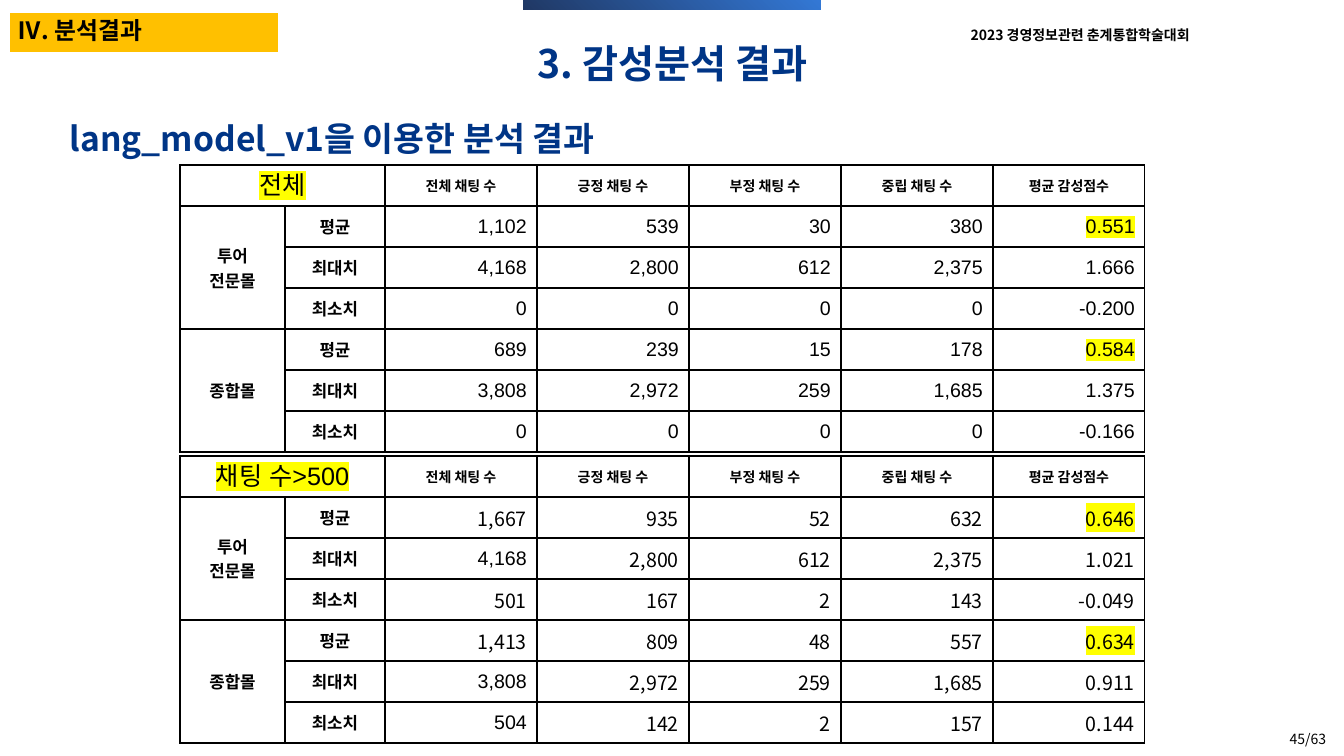
from lxml import etree
from pptx import Presentation, util as u
from pptx.dml.color import RGBColor
from pptx.enum import shapes, text
from pptx.oxml import ns

PX = 914400 / 100.8
COLORS = {"ink": "000000", "navy": "003586", "amber": "FFC000", "marker": "FFFF00",
          "bar_light": "3378D5", "bar_dark": "203864"}
KOREAN, LATIN = "Noto Sans CJK KR", "Arial"
ALIGN, ANCHOR = text.PP_ALIGN, text.MSO_ANCHOR

COLUMN_WIDTHS = [105, 100] + [152] * 5
ROW_HEIGHT = 41
HEADINGS = ["전체 채팅 수", "긍정 채팅 수", "부정 채팅 수", "중립 채팅 수", "평균 감성점수"]
MALLS = ["투어\n전문몰", "종합몰"]
MEASURES = ["평균", "최대치", "최소치"]
ALL_CHATS = [
    ["1,102", "539", "30", "380", "0.551"],
    ["4,168", "2,800", "612", "2,375", "1.666"],
    ["0", "0", "0", "0", "-0.200"],
    ["689", "239", "15", "178", "0.584"],
    ["3,808", "2,972", "259", "1,685", "1.375"],
    ["0", "0", "0", "0", "-0.166"],
]
BUSY_CHATS = [
    ["1,667", "935", "52", "632", "0.646"],
    ["4,168", "2,800", "612", "2,375", "1.021"],
    ["501", "167", "2", "143", "-0.049"],
    ["1,413", "809", "48", "557", "0.634"],
    ["3,808", "2,972", "259", "1,685", "0.911"],
    ["504", "142", "2", "157", "0.144"],
]
BUSY_LATIN_TOTALS = {"4,168", "3,808", "504"}


def px(*lengths):
    return [u.Emu(round(length * PX)) for length in lengths]


def rgb(name):
    return RGBColor.from_string(COLORS[name])


def write(frame, words, size, bold=False, color="ink", align=ALIGN.LEFT,
          font=KOREAN, asian=KOREAN, marked=False):
    """Fill a text frame, one paragraph per line of words."""
    for index, line in enumerate(words.split("\n")):
        para = frame.add_paragraph() if index else frame.paragraphs[0]
        para.alignment = align
        span = para.add_run()
        span.text = line
        for name, value in {"size": u.Pt(size), "bold": bold, "name": font}.items():
            setattr(span.font, name, value)
        span.font.color.rgb = rgb(color)
        props = span.font._element
        latin = props.find(ns.qn("a:latin"))
        east = etree.Element(ns.qn("a:ea"), typeface=asian)
        latin.addnext(east)
        if marked:
            highlight = etree.Element(ns.qn("a:highlight"))
            etree.SubElement(highlight, ns.qn("a:srgbClr"), val=COLORS["marker"])
            latin.addprevious(highlight)


def add_label(page, box, words, size, anchor=ANCHOR.TOP, grow=True, **style):
    frame = page.shapes.add_textbox(*px(*box)).text_frame
    fit = text.MSO_AUTO_SIZE
    settings = {"word_wrap": True, "vertical_anchor": anchor,
                "auto_size": fit.SHAPE_TO_FIT_TEXT if grow else fit.NONE}
    for name, value in settings.items():
        setattr(frame, name, value)
    write(frame, words, size, **style)


def add_block(page, box):
    block = page.shapes.add_shape(shapes.MSO_SHAPE.RECTANGLE, *px(*box))
    block.shadow.inherit = False
    block.line.fill.background()
    return block


def add_header(page, box):
    """Section tag, top bar, conference name and slide title."""
    left, top, width, height = box
    tag = add_block(page, (left + 10, top + 13, 268, 39))
    tag.fill.solid()
    tag.fill.fore_color.rgb = rgb("amber")

    # Thin bar, turned to lie along the top edge
    thickness, length = 10, 298
    bar = add_block(page, (left + (width - thickness) // 2, top + (thickness - length) // 2,
                           thickness, length))
    bar.rotation = 90
    bar.fill.gradient()
    bar.fill.gradient_angle = 315
    for stop, name, position in zip(bar.fill.gradient_stops, ["bar_light", "bar_dark"], [0, 1]):
        stop.color.rgb = rgb(name)
        stop.position = position

    add_label(page, (left + 946, top + 22, 268, 27), "2023 경영정보관련 춘계통합학술대회", 10,
              bold=True, align=ALIGN.CENTER)
    add_label(page, (left + 8, top + 11, 198, 39), "Ⅳ. 분석결과", 17, bold=True)
    add_label(page, (left + 364, top + 34, 617, 57), "3. 감성분석 결과", 28,
              bold=True, color="navy", align=ALIGN.CENTER)


def outline(cell):
    """Clear the cell's fill and rule all four sides."""
    cell.fill.background()
    props = cell._tc.get_or_add_tcPr()
    for index, side in enumerate(["lnL", "lnR", "lnT", "lnB"]):
        line = etree.Element(ns.qn("a:" + side), w=str(u.Pt(1)))
        fill = etree.SubElement(line, ns.qn("a:solidFill"))
        etree.SubElement(fill, ns.qn("a:srgbClr"), val=COLORS["ink"])
        props.insert(index, line)


def add_score_table(page, box, title, scores, number_font, latin_totals=()):
    left, top, width, height = box
    row_count = len(scores) + 1
    table = page.shapes.add_table(row_count, len(COLUMN_WIDTHS),
                                  *px(left, top, width, height)).table
    table.first_row = table.horz_banding = False
    for column, length in zip(table.columns, COLUMN_WIDTHS):
        column.width = px(length)[0]
    for row in table.rows:
        row.height = px(height // row_count)[0]
    for cell in table.iter_cells():
        outline(cell)
        cell.vertical_anchor = ANCHOR.MIDDLE

    def put(row, column, words, size, **style):
        write(table.cell(row, column).text_frame, words, size,
              **{"font": LATIN, "align": ALIGN.CENTER, **style})

    # Title and column headings
    table.cell(0, 0).merge(table.cell(0, 1))
    put(0, 0, title, 18, asian=LATIN, marked=True)
    for column, heading in enumerate(HEADINGS, 2):
        put(0, column, heading, 10, bold=True)

    # Mall groups
    group = len(MEASURES)
    for index, mall in enumerate(MALLS):
        first = 1 + index * group
        table.cell(first, 0).merge(table.cell(first + group - 1, 0))
        put(first, 0, mall, 12, bold=True)

    # Scores, with each group's mean sentiment highlighted
    for row, values in enumerate(scores, 1):
        measure = (row - 1) % group
        put(row, 1, MEASURES[measure], 12, bold=True)
        for column, value in enumerate(values, 2):
            latin = column == 2 and value in latin_totals
            put(row, column, value, 14, align=ALIGN.RIGHT,
                font=LATIN if latin else number_font,
                marked=measure == 0 and column == len(values) + 1)


def add_results(page, box):
    """Subtitle above two stacked score tables."""
    left, top, width, height = box
    add_label(page, (left, top, 688, 52), "lang_model_v1을 이용한 분석 결과", 24,
              bold=True, color="navy")
    table_width, table_height = sum(COLUMN_WIDTHS), ROW_HEIGHT * (len(ALL_CHATS) + 1)
    tables = [("전체", ALL_CHATS, LATIN, ()),
              ("채팅 수>500", BUSY_CHATS, KOREAN, BUSY_LATIN_TOTALS)]
    for index, content in enumerate(tables):
        table_top = top + 52 + index * (table_height + 4)
        add_score_table(page, (left + 120, table_top, table_width, table_height), *content)


def main():
    deck = Presentation()
    deck.slide_width, deck.slide_height = px(1344, 756)
    page = deck.slides.add_slide(deck.slide_layouts[6])
    add_label(page, (1034, 712, 302, 40), "45/63", 10, anchor=ANCHOR.BOTTOM, grow=False,
              align=ALIGN.RIGHT)
    add_header(page, (0, 0, 1344, 113))
    add_results(page, (60, 113, 1086, 630))
    deck.save("out.pptx")


if __name__ == "__main__":
    main()
